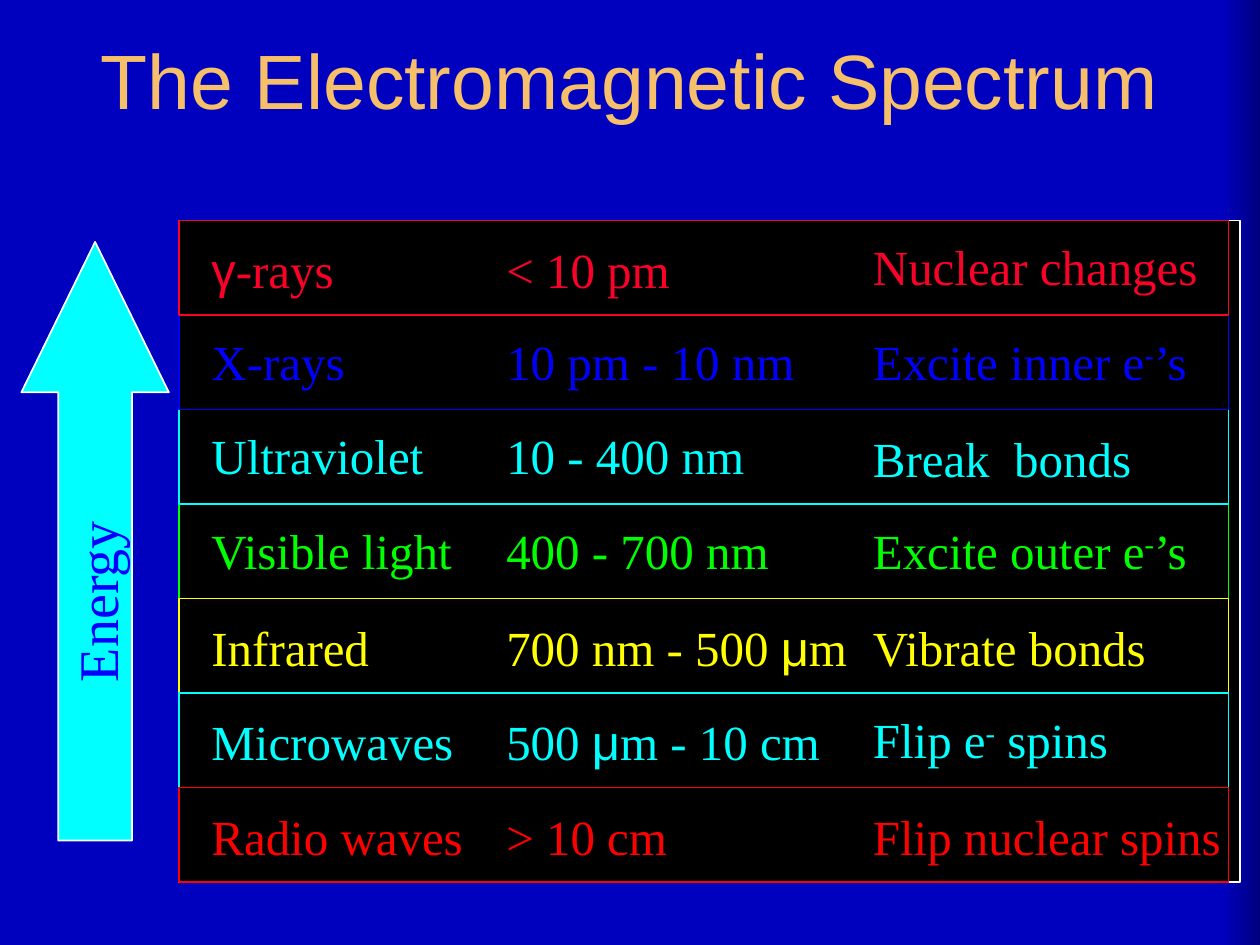
from dataclasses import dataclass

from pptx import Presentation
from pptx.dml.color import RGBColor
from pptx.enum.shapes import MSO_SHAPE
from pptx.enum.text import MSO_ANCHOR, MSO_AUTO_SIZE, PP_ALIGN
from pptx.util import Inches, Pt


@dataclass(frozen=True)
class Theme:
    back: str = "0000BF"
    back_edge: str = "00007F"
    title: str = "F6BF69"
    black: str = "000000"
    white: str = "FFFFFF"
    crimson: str = "FC0128"
    blue: str = "0000FF"
    cyan: str = "00FFFF"
    green: str = "00FF00"
    yellow: str = "FFFF00"
    red: str = "FF0000"
    sans: str = "Arial"
    serif: str = "Times New Roman"
    title_size: int = 44
    label_size: int = 32
    body_size: int = 28


class SlideBuilder:
    def __init__(self, prs, theme):
        self.theme = theme
        self.s = prs.slides.add_slide(prs.slide_layouts[5])

    def background(self):
        fill = self.s.background.fill
        fill.gradient()
        fill.gradient_angle = 0
        stops = ((0.97, self.theme.back), (1, self.theme.back_edge))
        for stop, (position, color) in zip(fill.gradient_stops, stops):
            stop.position = position
            stop.color.rgb = RGBColor.from_string(color)

    def font(self, r, name, size, color):
        r.font.name = name
        r.font.size = Pt(size)
        r.font.color.rgb = RGBColor.from_string(color)

    def title(self, text, left, top, width, height):
        sp = self.s.shapes.title
        sp.left, sp.top = Inches(left), Inches(top)
        sp.width, sp.height = Inches(width), Inches(height)
        tf = sp.text_frame
        tf.text = text
        tf.vertical_anchor = MSO_ANCHOR.MIDDLE
        p = tf.paragraphs[0]
        p.alignment = PP_ALIGN.CENTER
        self.font(p.runs[0], self.theme.sans, self.theme.title_size, self.theme.title)

    def shape(self, kind, left, top, width, height, line, fill=None):
        sp = self.s.shapes.add_shape(
            kind, Inches(left), Inches(top), Inches(width), Inches(height))
        sp.shadow.inherit = False
        if fill:
            sp.fill.solid()
            sp.fill.fore_color.rgb = RGBColor.from_string(fill)
        else:
            sp.fill.background()
        sp.line.color.rgb = RGBColor.from_string(line)
        sp.line.width = Pt(1)
        return sp

    def text(self, text, left, top, width, color, size=None, align=PP_ALIGN.LEFT):
        """Bars part the runs: Greek letters are sans, a lone minus is raised."""
        sp = self.s.shapes.add_textbox(
            Inches(left), Inches(top), Inches(width), Inches(0.57))
        tf = sp.text_frame
        tf.word_wrap = True
        tf.auto_size = MSO_AUTO_SIZE.SHAPE_TO_FIT_TEXT
        p = tf.paragraphs[0]
        p.alignment = align
        for part in text.split("|"):
            r = p.add_run()
            r.text = part
            name = self.theme.sans if part in ("γ", "μ") else self.theme.serif
            self.font(r, name, size or self.theme.body_size, color)
            if part == "-":
                r.font._element.set("baseline", "30000")
        return sp


def main():
    theme = Theme()
    prs = Presentation()
    prs.slide_width, prs.slide_height = Inches(10), Inches(7.5)
    slide = SlideBuilder(prs, theme)
    slide.background()
    slide.title("The Electromagnetic Spectrum", 0, 0, 10, 1.25)

    # Black panel behind the bands
    left, top, band_height = 1.42, 1.75, 0.75
    slide.shape(MSO_SHAPE.RECTANGLE, left, top, 8.42, 5.25, theme.white, theme.black)

    # Energy arrow and its upright label
    arrow = slide.shape(MSO_SHAPE.UP_ARROW, 0.17, 1.92, 1.17, 4.75,
                        theme.white, theme.cyan)
    arrow.adjustments[0], arrow.adjustments[1] = 0.5, 1.02
    label = slide.text("Energy", -0.98, 4.49, 3.42, theme.blue,
                       theme.label_size, PP_ALIGN.CENTER)
    label.rotation = 270

    # Bands: colour, text inset, radiation, wavelength, effect inset, effect
    bands = (
        (theme.crimson, 0.1, "γ|-rays", "< 10 pm", 0.08, "Nuclear changes"),
        (theme.blue, 0.08, "X-rays", "10 pm - 10 nm", 0.08, "Excite inner e|-|’s"),
        (theme.cyan, 0.08, "Ultraviolet", "10 - 400 nm", 0.1, "Break  bonds"),
        (theme.green, 0.08, "Visible light", "400 - 700 nm", 0.08, "Excite outer e|-|’s"),
        (theme.yellow, 0.1, "Infrared", "700 nm - 500 |μ|m", 0.1, "Vibrate bonds"),
        (theme.cyan, 0.1, "Microwaves", "500 |μ|m - 10 cm", 0.08, "Flip e|-| spins"),
        (theme.red, 0.1, "Radio waves", "> 10 cm", 0.1, "Flip nuclear spins"),
    )
    for i, (color, inset, radiation, wavelength, effect_inset, effect) in enumerate(bands):
        y = top + i * band_height
        slide.text(radiation, 1.58, y + inset, 2.25, color)
        slide.text(wavelength, 3.92, y + inset, 3.17, color)
        sp = slide.text(effect, 6.83, y + effect_inset, 3, color)
        if i == 0:
            sp.fill.solid()
            sp.fill.fore_color.rgb = RGBColor.from_string(theme.black)

    # Band outlines, the lowest four first so that shared edges overlap as meant
    for i in (3, 4, 5, 6, 2, 1, 0):
        slide.shape(MSO_SHAPE.RECTANGLE, left, top + i * band_height,
                    8.33, band_height, bands[i][0])

    prs.save("out.pptx")


if __name__ == "__main__":
    main()
